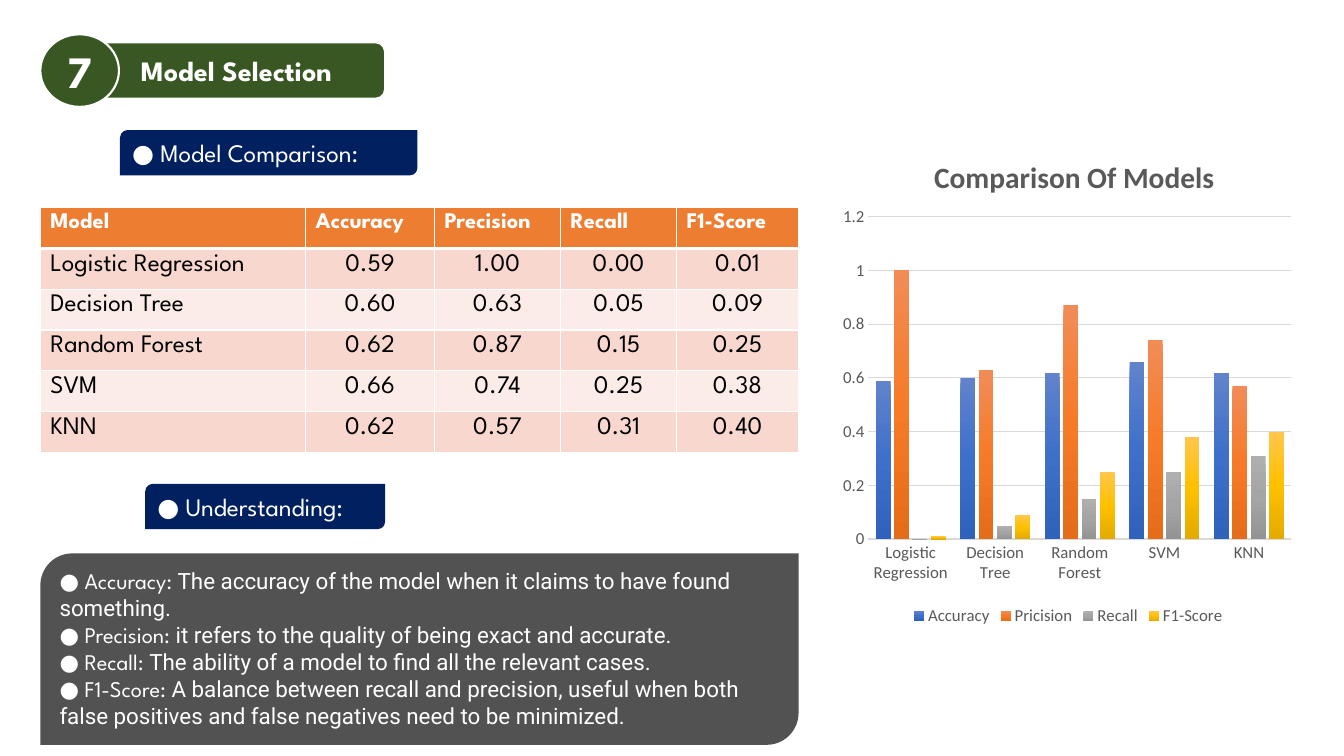
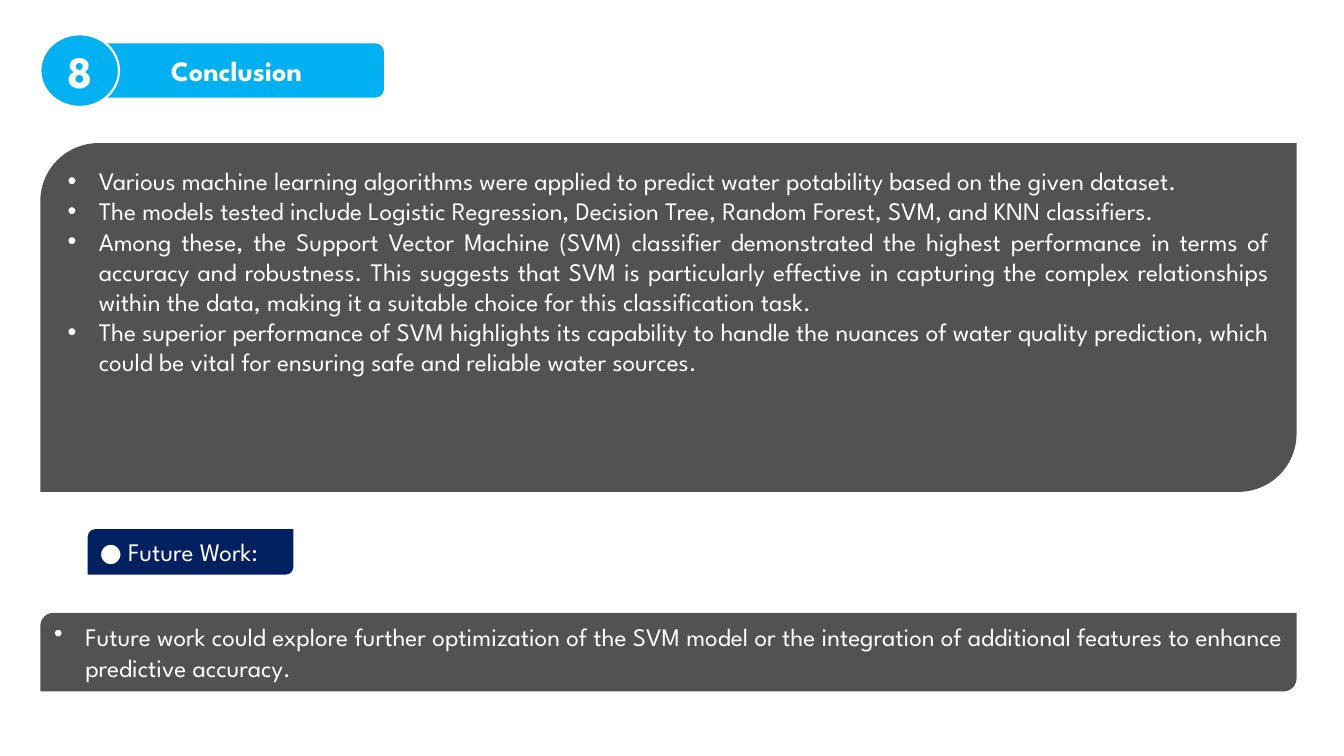
import pptx
import pptx.util
import pptx.chart.data
import pptx.dml.color
import pptx.enum.chart
import pptx.enum.shapes
import pptx.enum.text
import pptx.oxml
import pptx.oxml.ns

Inches = pptx.util.Inches
Pt = pptx.util.Pt
SHAPE = pptx.enum.shapes.MSO_SHAPE
ALIGN = pptx.enum.text.PP_ALIGN
ANCHOR = pptx.enum.text.MSO_ANCHOR
qn = pptx.oxml.ns.qn

# Shared style
COLORS = {
    "white": "FFFFFF", "black": "000000", "green": "385723", "sky": "00B0F0",
    "navy": "002060", "panel": "525252", "head": "ED7D31", "odd": "F8D7CE",
    "even": "FCECE8", "text": "595959", "grid": "D9D9D9",
}
FONT, BODY, PLOT = "League Spartan", "Roboto", "Calibri"
LEFT = 0.4

# Slide content
SCORES = [
    ("Logistic Regression", 0.59, 1.00, 0.00, 0.01),
    ("Decision Tree", 0.60, 0.63, 0.05, 0.09),
    ("Random Forest", 0.62, 0.87, 0.15, 0.25),
    ("SVM", 0.66, 0.74, 0.25, 0.38),
    ("KNN", 0.62, 0.57, 0.31, 0.40),
]
HEADS = ["Model", "Accuracy", "Precision", "Recall", "F1-Score"]
WIDTHS = [2.63, 1.28, 1.25, 1.15, 1.21]
SERIES = {
    "Accuracy": ("6183CB", "3E70CA", "3062BB"),
    "Pricision": ("F18C57", "F67B28", "E56C19"),
    "Recall": ("AFAFAF", "A5A5A5", "939393"),
    "F1-Score": ("FFC64B", "FFC000", "E3AB00"),
}
TERMS = [
    ("● Accuracy: ", "The accuracy of the model when it claims to have found something."),
    ("● Precision: ", "it refers to the quality of being exact and accurate."),
    ("● Recall: ", "The ability of a model to find all the relevant cases."),
    ("● F1-Score: ", "A balance between recall and precision, useful when both false "
     "positives and false negatives need to be minimized."),
]
POINTS = [
    "Various machine learning algorithms were applied to predict water potability "
    "based on the given dataset.",
    "The models tested include Logistic Regression, Decision Tree, Random Forest, "
    "SVM, and KNN classifiers.",
    "Among these, the Support Vector Machine (SVM) classifier demonstrated the highest "
    "performance in terms of accuracy and robustness. This suggests that SVM is "
    "particularly effective in capturing the complex relationships within the data, "
    "making it a suitable choice for this classification task.",
    "The superior performance of SVM highlights its capability to handle the nuances "
    "of water quality prediction, which could be vital for ensuring safe and reliable "
    "water sources.",
]
FUTURE = [
    "Future work could explore further optimization of the SVM model or the integration "
    "of additional features to enhance predictive accuracy.",
]


def rgb(name):
    return pptx.dml.color.RGBColor.from_string(COLORS[name])


def xml(text):
    """Parse a fragment that uses the a: and c: prefixes."""
    tag, rest = text[:text.index(">")], text[text.index(">"):]
    slash = "/" if tag.endswith("/") else ""
    names = pptx.oxml.ns.nsdecls("a", "c")
    return pptx.oxml.parse_xml(f"{tag.rstrip('/')} {names}{slash}{rest}")


def style(font, size, color="white", bold=False, name=FONT):
    font.size, font.bold, font.name = Pt(size), bold, name
    font.color.rgb = rgb(color)


def block(slide, kind, box, color, edge=False):
    shape = slide.shapes.add_shape(kind, *map(Inches, box))
    shape.shadow.inherit = False
    shape.fill.solid()
    shape.fill.fore_color.rgb = rgb(color)
    if edge:
        shape.line.color.rgb = rgb("white")
        shape.line.width = Pt(1.5)
    else:
        shape.line.fill.background()
    return shape


def write(frame, text, size, bold=False, align=ALIGN.CENTER, anchor=ANCHOR.MIDDLE):
    frame.text = text
    frame.word_wrap = True
    frame.auto_size = pptx.enum.text.MSO_AUTO_SIZE.NONE
    frame.vertical_anchor = anchor
    para = frame.paragraphs[0]
    para.alignment = align
    style(para.font, size, bold=bold)


def front(slide, holder, box):
    """Move a placeholder above the shapes drawn so far."""
    holder.left, holder.top, holder.width, holder.height = map(Inches, box)
    slide.shapes._spTree.append(holder._element)


def header(slide, number, title, color):
    box = (0.87, 0.42, 2.95, 0.56)
    block(slide, SHAPE.ROUNDED_RECTANGLE, box, color, True)
    front(slide, slide.shapes.title, box)
    write(slide.shapes.title.text_frame, title, 20, True)
    disc = block(slide, SHAPE.OVAL, (LEFT, 0.34, 0.78, 0.72), color, True)
    write(disc.text_frame, number, 32, True)
    disc.text_frame.word_wrap = False


def label(slide, text, box):
    tab = block(slide, SHAPE.ROUND_2_DIAG_RECTANGLE, box, "navy")
    write(tab.text_frame, text, 18, align=ALIGN.LEFT, anchor=ANCHOR.TOP)


def mark(para, bullet):
    """Give a paragraph a hanging bullet, or none."""
    props = para._p.get_or_add_pPr()
    hang = Inches(0.31) if bullet else 0
    props.set("marL", str(hang))
    props.set("indent", str(-hang))
    sign = xml('<a:buChar char="•"/>' if bullet else "<a:buNone/>")
    props.find(qn("a:defRPr")).addprevious(sign)


def fill_list(frame, items, size):
    """Write plain bullets, or (term, meaning) pairs in two fonts."""
    frame.word_wrap = True
    frame.auto_size = pptx.enum.text.MSO_AUTO_SIZE.NONE
    frame.vertical_anchor = ANCHOR.TOP
    for index, item in enumerate(items):
        para = frame.paragraphs[0] if index == 0 else frame.add_paragraph()
        para.space_before = Pt(0)
        style(para.font, size)
        plain = isinstance(item, str)
        para.alignment = ALIGN.JUSTIFY if plain else ALIGN.LEFT
        mark(para, plain)
        if plain:
            para.text = item
            continue
        for text, name in zip(item, (FONT, BODY)):
            run = para.add_run()
            run.text = text
            run.font.name = name


def panel(slide, box):
    return block(slide, SHAPE.ROUND_2_DIAG_RECTANGLE, box, "panel")


def body(slide, items, box, size):
    """Panel with the body placeholder set inside its round corners."""
    panel(slide, box)
    left, top, width, height = box
    pad = round(height * 0.049, 2)
    holder = slide.placeholders[1]
    front(slide, holder, (left + pad, top + pad, width - 2 * pad, height - 2 * pad))
    fill_list(holder.text_frame, items, size)


def border(cell, head):
    props = cell._tc.get_or_add_tcPr()
    for index, side in enumerate("LRTB"):
        width = Pt(3 if head and side == "B" else 1)
        props.insert(index, xml(
            f'<a:ln{side} w="{width}"><a:solidFill><a:srgbClr val="{COLORS["white"]}"/>'
            f"</a:solidFill></a:ln{side}>"))


def score_table(slide):
    rows = [HEADS] + [[name] + [f"{val:.2f}" for val in vals] for name, *vals in SCORES]
    grid = slide.shapes.add_table(
        len(rows), len(HEADS), Inches(LEFT), Inches(2.06), Inches(7.52), Inches(2.43)).table
    for column, width in zip(grid.columns, WIDTHS):
        column.width = Inches(width)
    for row, texts in enumerate(rows):
        head = row == 0
        shade = "head" if head else "odd" if row % 2 else "even"
        for col, text in enumerate(texts):
            cell = grid.cell(row, col)
            cell.text = text
            cell.fill.solid()
            cell.fill.fore_color.rgb = rgb(shade)
            border(cell, head)
            para = cell.text_frame.paragraphs[0]
            para.alignment = ALIGN.LEFT if head or col == 0 else ALIGN.CENTER
            style(para.font, 16 if head else 18, "white" if head else "black", head)


def place(parent, index, target="", **spots):
    """Set a manual layout, in shares of the chart."""
    for old in parent.findall(qn("c:layout")):
        parent.remove(old)
    inner = f'<c:layoutTarget val="{target}"/>' if target else ""
    modes = "".join(f'<c:{key}Mode val="edge"/>' for key in "xy")
    vals = "".join(f'<c:{key} val="{val}"/>' for key, val in spots.items())
    parent.insert(index, xml(
        f"<c:layout><c:manualLayout>{inner}{modes}{vals}</c:manualLayout></c:layout>"))


def shade_bars(series, hues):
    stops = "".join(f'<a:gs pos="{pos}"><a:srgbClr val="{hue}"/></a:gs>'
                    for pos, hue in zip((0, 50000, 100000), hues))
    series.format.fill.background()
    props = series._element.find(qn("c:spPr"))
    props.replace(props.find(qn("a:noFill")), xml(
        f'<a:gradFill><a:gsLst>{stops}</a:gsLst><a:lin ang="5400000" scaled="0"/></a:gradFill>'))


def score_chart(slide):
    data = pptx.chart.data.CategoryChartData()
    names, *columns = zip(*SCORES)
    data.categories = names
    for name, vals in zip(SERIES, columns):
        data.add_series(name, vals)
    chart = slide.shapes.add_chart(
        pptx.enum.chart.XL_CHART_TYPE.COLUMN_CLUSTERED,
        Inches(8.29), Inches(1.25), Inches(4.61), Inches(5), data).chart
    style(chart.font, 12, "text", name=PLOT)

    # Title and legend
    chart.has_title = True
    frame = chart.chart_title.text_frame
    frame.text = "Comparison Of Models"
    style(frame.paragraphs[0].font, 21, "text", True, PLOT)
    chart.has_legend = True
    chart.legend.position = pptx.enum.chart.XL_LEGEND_POSITION.BOTTOM
    chart.legend.include_in_layout = False
    style(chart.legend.font, 12, "text", name=PLOT)

    # Bars
    plot = chart.plots[0]
    plot.gap_width, plot.overlap, plot.vary_by_categories = 100, -24, False
    for series, hues in zip(plot.series, SERIES.values()):
        shade_bars(series, hues)

    # Axes
    for axis in (chart.category_axis, chart.value_axis):
        axis.major_tick_mark = axis.minor_tick_mark = pptx.enum.chart.XL_TICK_MARK.NONE
        style(axis.tick_labels.font, 12, "text", name=PLOT)
    value = chart.value_axis
    value.minimum_scale, value.maximum_scale, value.major_unit = 0, 1.2, 0.2
    value.format.line.fill.background()
    grid = value.major_gridlines.format.line
    for line, width in ((chart.category_axis.format.line, 1), (grid, 0.75)):
        line.color.rgb = rgb("grid")
        line.width = Pt(width)

    place(chart.chart_title._element, 1, x=0.2, y=0.05)
    area = chart._chartSpace.chart.plotArea
    place(area, 0, "inner", x=0.07, y=0.18, w=0.91, h=0.64)


def main():
    deck = pptx.Presentation()
    deck.slide_width, deck.slide_height = Inches(13.33), Inches(7.5)
    layout = deck.slide_layouts[1]

    # Model selection
    slide = deck.slides.add_slide(layout)
    header(slide, "7", "Model Selection", "green")
    score_table(slide)
    label(slide, "● Model Comparison:", (1.19, 1.29, 2.95, 0.45))
    label(slide, "● Understanding:", (1.44, 4.8, 2.38, 0.45))
    score_chart(slide)
    body(slide, TERMS, (LEFT, 5.49, 7.52, 1.9), 16)

    # Conclusion
    slide = deck.slides.add_slide(layout)
    header(slide, "8", "Conclusion", "sky")
    body(slide, POINTS, (LEFT, 1.42, 12.46, 3.46), 18)
    label(slide, "● Future Work:", (0.87, 5.25, 2.04, 0.45))
    fill_list(panel(slide, (LEFT, 6.08, 12.46, 0.78)).text_frame, FUTURE, 18)

    deck.save("out.pptx")


if __name__ == "__main__":
    main()
